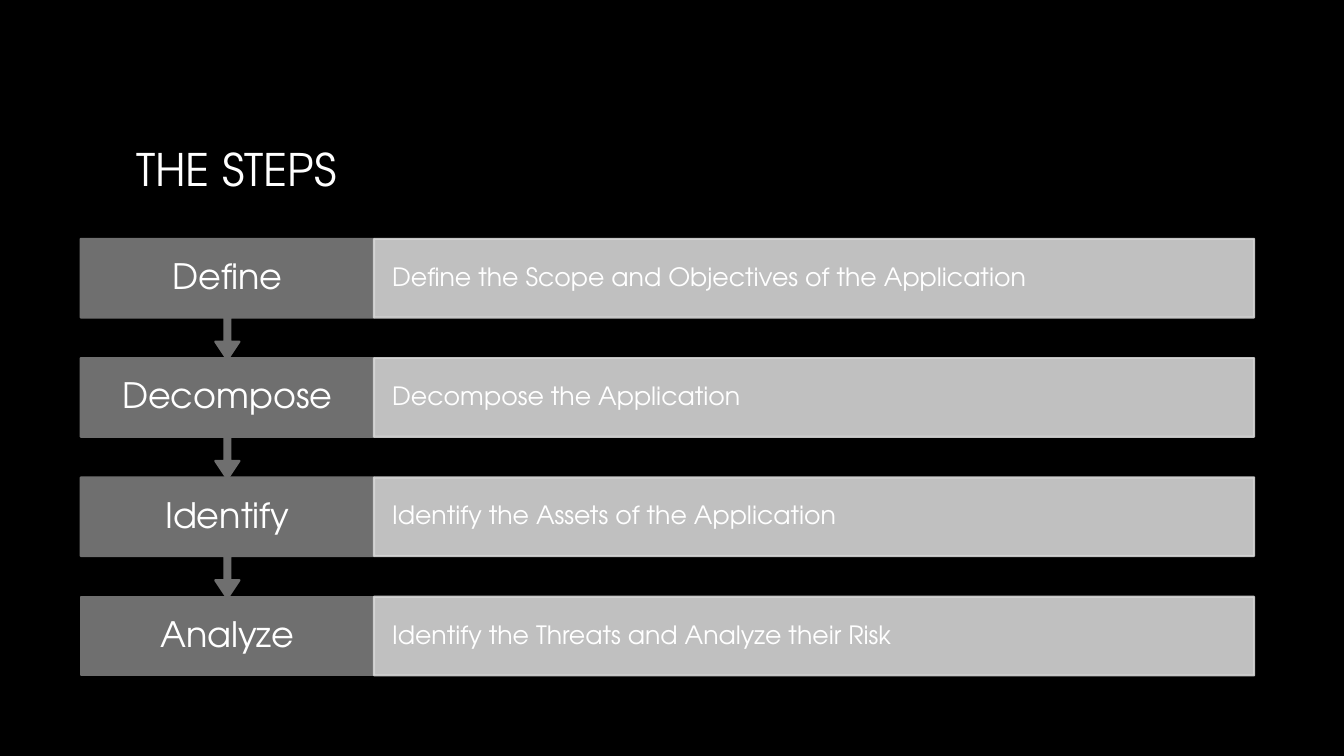
from dataclasses import dataclass

from lxml import etree
from pptx import Presentation
from pptx import util as u
from pptx.dml.color import RGBColor
from pptx.enum import shapes, text
from pptx.oxml.ns import qn


@dataclass(frozen=True)
class Theme:
    font: str = "TeX Gyre Adventor"
    back: str = "000000"
    ink: str = "FFFFFF"
    dark: str = "6F6F6F"
    light: str = "D5D5D5"
    title: int = 32
    step: int = 25
    detail: int = 18
    line: float = 1.5
    alpha: int = 90


THEME = Theme()

STEPS = [
    ("Define", "Define the Scope and Objectives of the Application"),
    ("Decompose", "Decompose the Application"),
    ("Identify", "Identify the Assets of the Application"),
    ("Analyze", "Identify the Threats and Analyze their Risk"),
]

# Grid of the steps, in inches
LEFT, TOP, PITCH = 0.8, 2.37, 3.55 / 3
STEP_W, DETAIL_W = 2.91, 8.73
ROW_H, CALL_H = 0.78, 1.2


def paint(fill, color, alpha=100):
    fill.solid()
    fill.fore_color.rgb = RGBColor.from_string(color)
    if alpha < 100:
        for node in fill._xPr.iter(qn("a:srgbClr")):
            etree.SubElement(node, qn("a:alpha")).set("val", str(alpha * 1000))


def write(shape, words, size, align):
    frame = shape.text_frame
    frame.text = words
    frame.word_wrap = True
    frame.vertical_anchor = text.MSO_ANCHOR.MIDDLE
    para = frame.paragraphs[0]
    para.alignment = align
    para.line_spacing = 0.9
    para.font.name = THEME.font
    para.font.size = u.Pt(size)
    para.font.color.rgb = RGBColor.from_string(THEME.ink)


def add_box(slide, kind, place, color, alpha=100):
    box = slide.shapes.add_shape(kind, *map(u.Inches, place))
    box.shadow.inherit = False
    box.line.width = u.Pt(THEME.line)
    paint(box.fill, color)
    paint(box.line.fill, color)
    if alpha < 100:
        for node in box._element.spPr.iter(qn("a:srgbClr")):
            etree.SubElement(node, qn("a:alpha")).set("val", str(alpha * 1000))
    return box


def pad(shape, side, edge):
    frame = shape.text_frame
    frame.margin_left = frame.margin_right = u.Inches(side)
    frame.margin_top = frame.margin_bottom = u.Inches(edge)


def add_title(slide, words):
    title = slide.shapes.title
    title.left, title.top = u.Inches(1.25), u.Inches(0.67)
    title.width, title.height = u.Inches(10.83), u.Inches(2.08)
    write(title, words, THEME.title, text.PP_ALIGN.LEFT)


def add_step(slide, top, name, last):
    kinds = shapes.MSO_SHAPE
    if last:
        box = add_box(slide, kinds.RECTANGLE, (LEFT, top, STEP_W, ROW_H), THEME.dark)
    else:
        # The callout carries the arrow to the next step
        box = add_box(slide, kinds.DOWN_ARROW_CALLOUT,
                      (LEFT, top, STEP_W, CALL_H), THEME.dark)
        for i, value in enumerate((0.05, 0.1, 0.15, 0.65)):
            box.adjustments[i] = value
    pad(box, 0.21, 0.19)
    write(box, name, THEME.step, text.PP_ALIGN.CENTER)


def add_detail(slide, top, words):
    box = add_box(slide, shapes.MSO_SHAPE.RECTANGLE,
                  (LEFT + STEP_W, top, DETAIL_W, ROW_H), THEME.light, THEME.alpha)
    pad(box, 0.18, 0.25)
    write(box, words, THEME.detail, text.PP_ALIGN.LEFT)


def main():
    deck = Presentation()
    deck.slide_width, deck.slide_height = u.Inches(13.33), u.Inches(7.5)
    slide = deck.slides.add_slide(deck.slide_layouts[5])
    paint(slide.background.fill, THEME.back)
    add_title(slide, "THE STEPS")

    # Bottom row first, so each arrow lies over the row below it
    for i, (name, words) in reversed(list(enumerate(STEPS))):
        top = TOP + i * PITCH
        add_step(slide, top, name, i == len(STEPS) - 1)
        add_detail(slide, top, words)

    deck.save("out.pptx")


if __name__ == "__main__":
    main()
